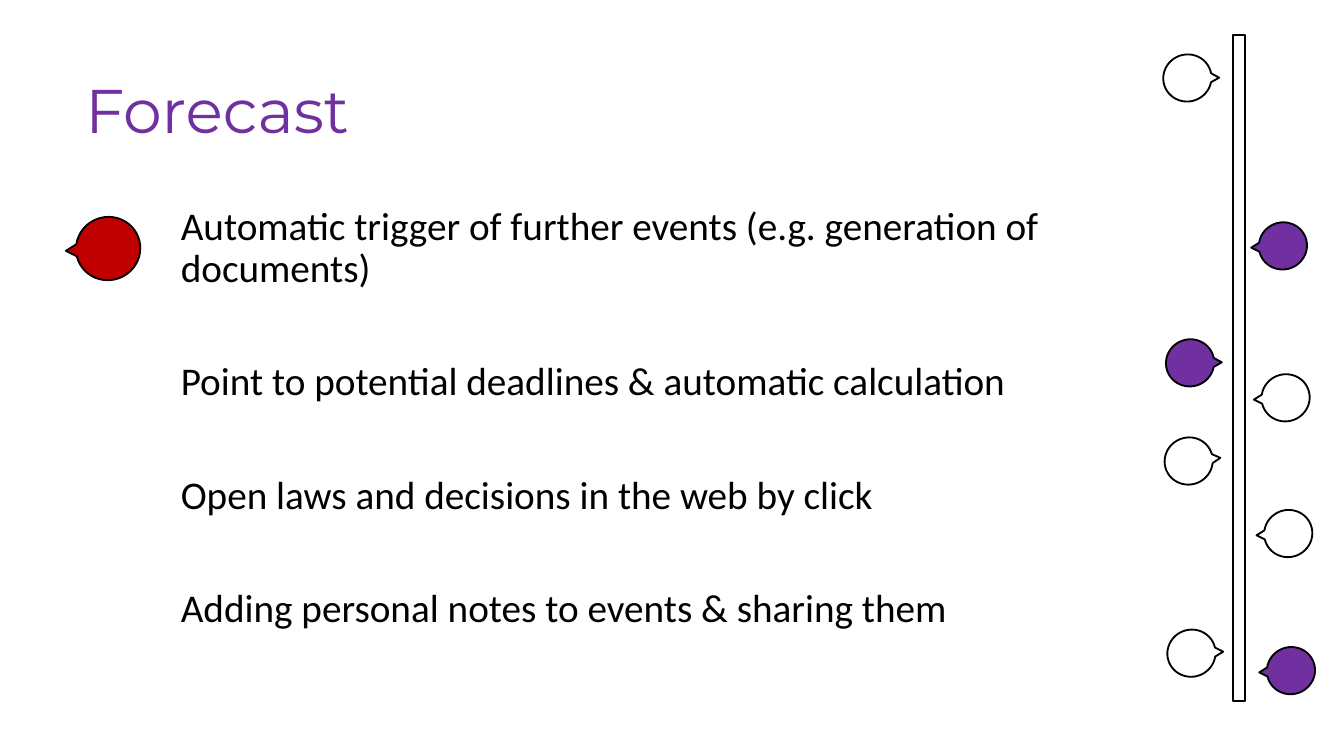
from pptx import Presentation
from pptx.dml.color import RGBColor
from pptx.enum.shapes import MSO_SHAPE
from pptx.enum.text import MSO_ANCHOR
from pptx.util import Pt

RECTANGLE = MSO_SHAPE.RECTANGLE
CALLOUT = MSO_SHAPE.OVAL_CALLOUT
TOP, MIDDLE = MSO_ANCHOR.TOP, MSO_ANCHOR.MIDDLE

COLOURS = {"purple": "7030A0", "red": "C00000", "white": "FFFFFF", "black": "000000"}

LEFT_TURN = 68.8
MARKER_SIZE = (25.2, 25.92)
MARKERS = [
    (674.64, 118.8, LEFT_TURN, "purple"),
    (676.08, 200.16, LEFT_TURN, "white"),
    (624.96, 181.44, 251, "purple"),
    (625.68, 336.96, 249.3, "white"),
    (624.24, 234, 246.3, "white"),
    (623.52, 28.8, 251.5, "white"),
    (677.52, 272.88, LEFT_TURN, "white"),
    (678.96, 346.32, LEFT_TURN, "purple"),
]
FEATURES = [
    "Automatic trigger of further events (e.g. generation of documents)",
    "Point to potential deadlines & automatic calculation",
    "Open laws and decisions in the web by click",
    "Adding personal notes to events & sharing them",
]


class SlideBuilder:
    """Draws text, bars and callout markers on one slide in a shared style."""

    def __init__(self, slide):
        self.slide = slide

    def colour(self, name):
        return RGBColor.from_string(COLOURS[name])

    def text(self, left, top, width, height, lines, font, size, colour,
             anchor=TOP, indent=0, before=0, after=0):
        box = self.slide.shapes.add_textbox(Pt(left), Pt(top), Pt(width), Pt(height))
        frame = box.text_frame
        frame.word_wrap = True
        frame.vertical_anchor = anchor
        frame.margin_left = frame.margin_right = Pt(5.4)
        frame.margin_top = frame.margin_bottom = Pt(2.7)
        for index, line in enumerate(lines):
            para = frame.add_paragraph() if index else frame.paragraphs[0]
            if indent:
                properties = para._p.get_or_add_pPr()
                properties.set("marL", str(Pt(indent)))
                properties.set("indent", "0")
            para.line_spacing = 0.9
            para.space_before = Pt(before if index else 0)
            para.space_after = Pt(after)
            span = para.add_run()
            span.text = line
            span.font.name = font
            span.font.size = Pt(size)
            span.font.color.rgb = self.colour(colour)

    def shape(self, kind, left, top, width, height, fill):
        shape = self.slide.shapes.add_shape(kind, Pt(left), Pt(top), Pt(width), Pt(height))
        shape.shadow.inherit = False
        shape.fill.solid()
        shape.fill.fore_color.rgb = self.colour(fill)
        shape.line.color.rgb = self.colour("black")
        shape.line.width = Pt(1)
        return shape

    def marker(self, left, top, turn, fill, size=MARKER_SIZE):
        marker = self.shape(CALLOUT, left, top, *size, fill)
        marker.rotation = turn
        marker.adjustments[0] = -0.208
        marker.adjustments[1] = 0.625


def main():
    deck = Presentation()
    deck.slide_width, deck.slide_height = Pt(720), Pt(405)
    builder = SlideBuilder(deck.slides.add_slide(deck.slide_layouts[6]))

    builder.text(40.32, 21.6, 630.72, 78.48, ["Forecast"], "Montserrat", 33, "purple",
                 anchor=MIDDLE)
    builder.text(84.24, 108, 509.76, 257.04, FEATURES, "Calibri", 21, "black",
                 indent=7.2, before=8, after=30)

    builder.shape(RECTANGLE, 660.6, 18.72, 6.2, 357.12, "white")
    for marker in MARKERS:
        builder.marker(*marker)
    builder.marker(41.04, 115.92, LEFT_TURN, "red", size=(33.84, 34.56))

    deck.save("out.pptx")


if __name__ == "__main__":
    main()
